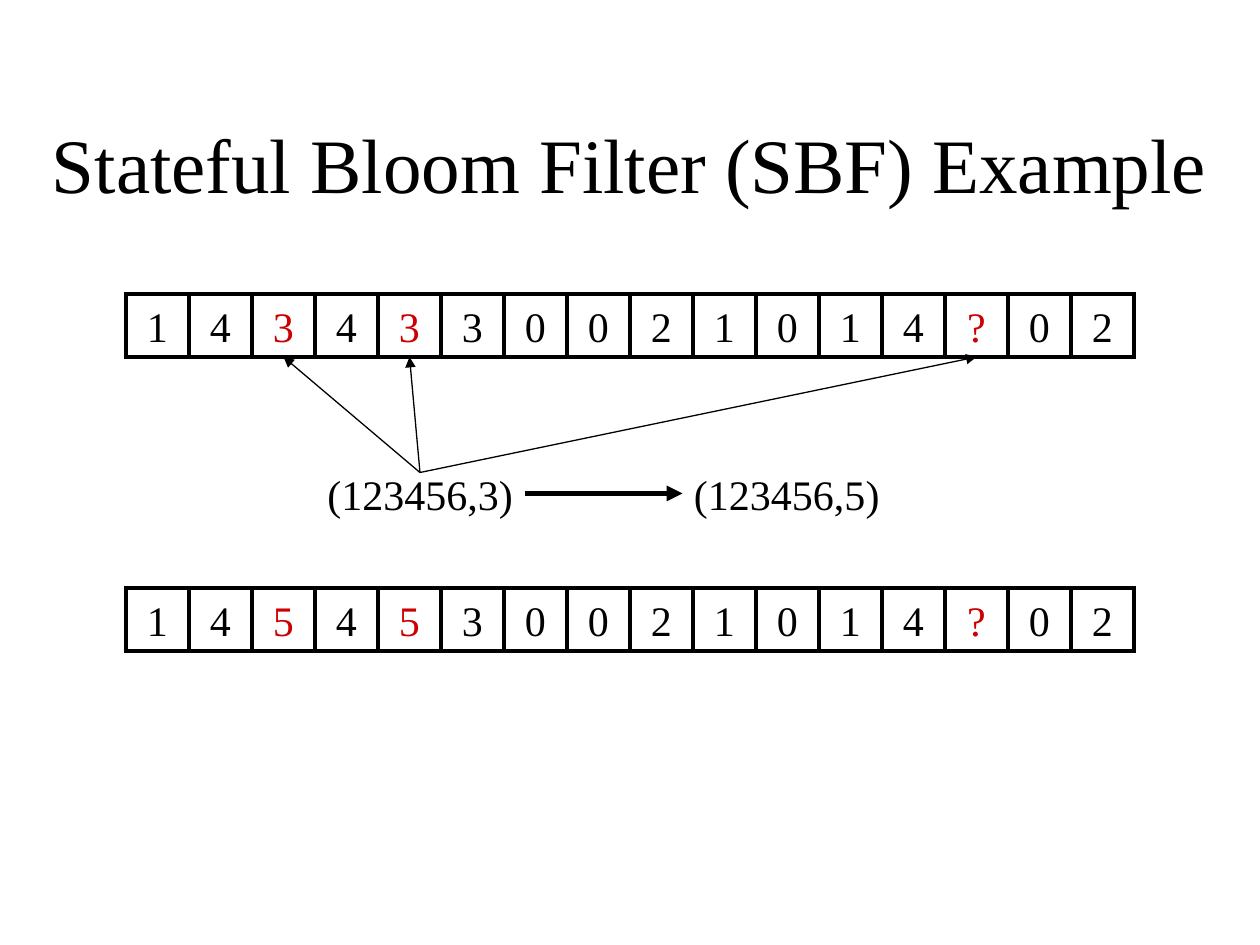
"""Build the Stateful Bloom Filter example slide."""
from pptx import Presentation
from pptx.dml.color import RGBColor
from pptx.enum.shapes import MSO_CONNECTOR, MSO_SHAPE
from pptx.enum.text import MSO_ANCHOR, MSO_AUTO_SIZE, PP_ALIGN
from pptx.oxml.ns import qn
from pptx.util import Pt
from lxml.etree import SubElement

COLORS = {"ink": "000000", "hashed": "CC0000"}
FONT = "Times New Roman"
CELL = 36
ROW_LEFT = 72
BEFORE_TOP, AFTER_TOP = 168.25, 336.25
HASHED_CELLS = (2, 4, 13)


def write(frame, text, size, color, align):
    paragraph = frame.paragraphs[0]
    paragraph.alignment = align
    run = paragraph.add_run()
    run.text = text
    run.font.size = Pt(size)
    run.font.name = FONT
    run.font.color.rgb = RGBColor.from_string(COLORS[color])


def add_arrow(shapes, start, end, weight):
    arrow = shapes.add_connector(MSO_CONNECTOR.STRAIGHT, *map(Pt, start + end))
    arrow.line.width = Pt(weight)
    arrow.line.color.rgb = RGBColor.from_string(COLORS["ink"])
    SubElement(arrow.line._get_or_add_ln(), qn("a:tailEnd"), type="triangle")
    SubElement(arrow._element.spPr, qn("a:effectLst"))


prs = Presentation()
prs.slide_width, prs.slide_height = Pt(720), Pt(540)
slide = prs.slides.add_slide(prs.slide_layouts[5])

title = slide.shapes.title
title.left, title.top, title.width, title.height = Pt(18), Pt(48), Pt(684), Pt(90)
title.text_frame.auto_size = MSO_AUTO_SIZE.NONE
title.text_frame.vertical_anchor = MSO_ANCHOR.MIDDLE
write(title.text_frame, "Stateful Bloom Filter (SBF) Example", 44, "ink", PP_ALIGN.CENTER)

for top, states in ((BEFORE_TOP, "1434330021014?02"), (AFTER_TOP, "1454530021014?02")):
    for index, state in enumerate(states):
        cell = slide.shapes.add_shape(
            MSO_SHAPE.RECTANGLE, Pt(ROW_LEFT + index * CELL), Pt(top), Pt(CELL), Pt(CELL))
        cell.shadow.inherit = False
        cell.fill.background()
        cell.line.width = Pt(2.25)
        cell.line.color.rgb = RGBColor.from_string(COLORS["ink"])
        SubElement(cell.line._get_or_add_ln(), qn("a:miter"), lim="800000")
        cell.text_frame.word_wrap = False
        cell.text_frame.vertical_anchor = MSO_ANCHOR.MIDDLE
        color = "hashed" if index in HASHED_CELLS else "ink"
        write(cell.text_frame, state, 24, color, PP_ALIGN.CENTER)

transition = slide.shapes.add_group_shape()
for left, flow_state in ((180, "(123456,3)"), (389.5, "(123456,5)")):
    flow = transition.shapes.add_textbox(Pt(left), Pt(264), Pt(122), Pt(36))
    flow.text_frame.word_wrap = False
    flow.text_frame.auto_size = MSO_AUTO_SIZE.SHAPE_TO_FIT_TEXT
    write(flow.text_frame, flow_state, 24, "ink", PP_ALIGN.LEFT)
add_arrow(transition.shapes, (300, 282), (390, 282), 3)

for index in HASHED_CELLS:
    cell_center = ROW_LEFT + (index + 0.5) * CELL
    add_arrow(slide.shapes, (240, 270), (cell_center, 204), 0.75)

prs.save("out.pptx")
